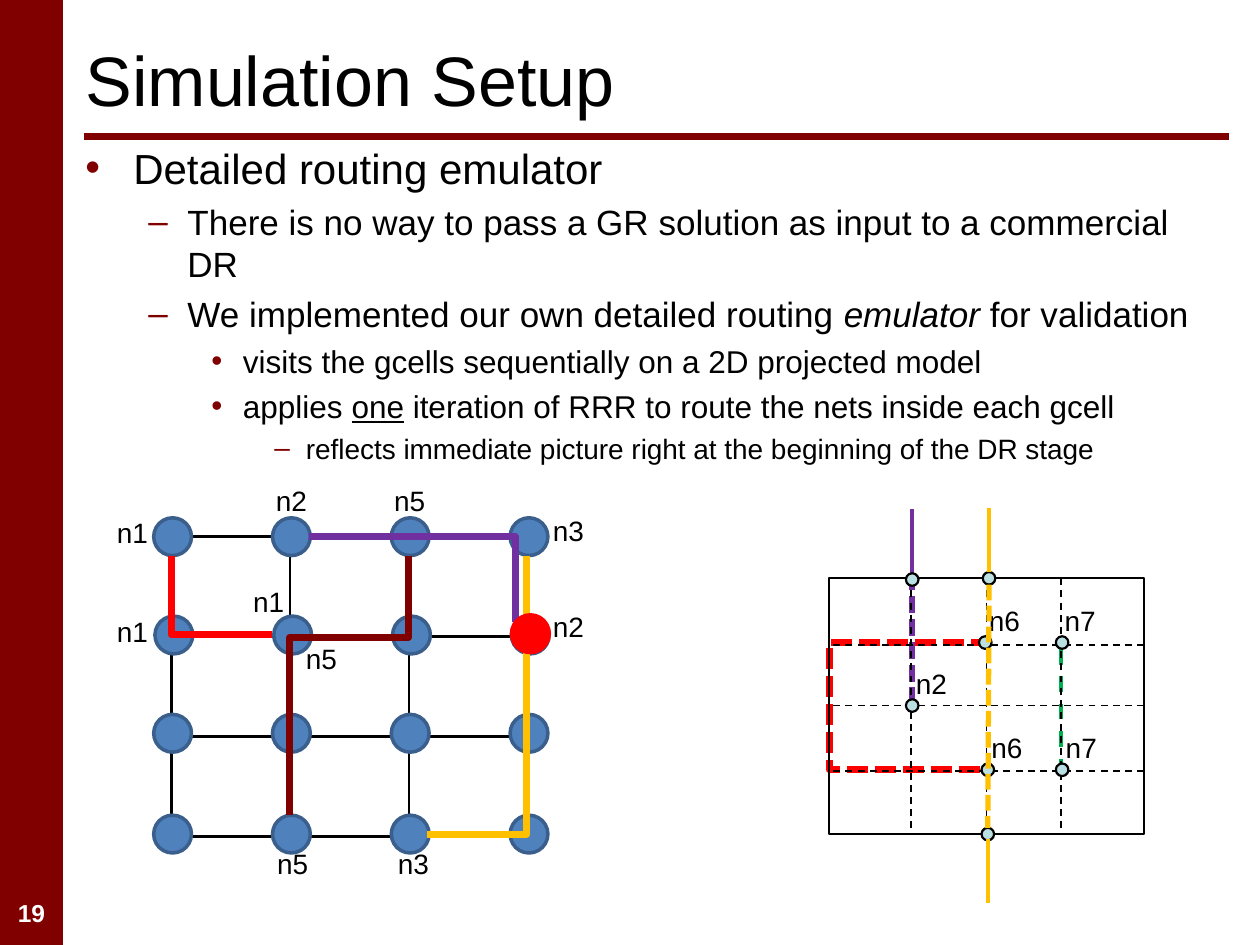
from itertools import product
from lxml.etree import SubElement
from pptx import Presentation
from pptx.dml.color import RGBColor
from pptx.enum.dml import MSO_LINE
from pptx.enum.shapes import MSO_CONNECTOR, MSO_SHAPE
from pptx.enum.text import MSO_ANCHOR, MSO_AUTO_SIZE, PP_ALIGN
from pptx.oxml.ns import qn
from pptx.util import Inches, Pt

THEME = {
    "font": "Arial", "black": "000000", "white": "FFFFFF", "maroon": "800000",
    "blue": "4F81BD", "navy": "3A5F8C", "pale": "BBE0E3", "red": "FF0000",
    "purple": "7030A0", "gold": "FFC000", "green": "00B050",
    "title": 40, "label": 16, "page": 14, "levels": [24, 20, 18, 16],
}
INDENTS = [(0.38, 0.38), (0.81, 0.31), (1.25, 0.25), (1.75, 0.25)]
TITLE = "Simulation Setup"
BODY = [
    (0, [("Detailed routing emulator", {})]),
    (1, [("There is no way to pass a GR solution as input to a commercial DR", {})]),
    (1, [("We implemented our own detailed routing ", {}),
         ("emulator", {"italic": True}), (" for validation", {})]),
    (2, [("visits the gcells sequentially on a 2D projected model", {})]),
    (2, [("applies ", {}), ("one", {"underline": True}),
         (" iteration of RRR to route the nets inside each gcell", {})]),
    (3, [("reflects immediate picture right at the beginning of the DR stage", {})]),
]
COLS = [1.36 + 0.943 * i for i in range(4)]
ROWS = [4.26 + 0.793 * i for i in range(4)]
NODES = [(4.26, 0.01), (5.04, 0.02), (5.82, 0.01), (6.62, 0.01)]
NETS = [
    ("n1", 0.83, 4.04), ("n1", 0.83, 4.83), ("n1", 1.91, 4.59),
    ("n2", 2.09, 3.79), ("n5", 2.33, 5.04), ("n2", 4.29, 4.79),
    ("n3", 4.29, 4.03), ("n3", 3.06, 6.67), ("n5", 2.1, 6.67),
    ("n5", 3.03, 3.79),
]
ROUTES = [
    ("red", [(1.36, 4.41), (1.36, 5.04), (2.16, 5.04)]),
    ("purple", [(2.45, 4.26), (4.09, 4.26), (4.09, 4.94)]),
    ("gold", [(4.18, 4.41), (4.18, 6.62), (3.39, 6.62)]),
    ("maroon", [(3.24, 4.41), (3.24, 5.06), (2.3, 5.06), (2.3, 6.47)]),
]
LOOP = [(7.87, 5.1), (6.58, 5.1), (6.58, 6.11), (7.79, 6.11)]
CELL = (6.58, 4.59, 2.5, 2.03)
TRACKS_X = [7.23, 7.83, 8.42]
TRACKS_Y = [5.12, 5.6, 6.12]
PINS = [(7.24, 5.6), (7.82, 5.1), (8.43, 6.11), (8.43, 5.1),
        (7.84, 6.11), (7.24, 4.6), (7.85, 4.59), (7.84, 6.62)]
TAGS = [("n2", 7.17, 5.24), ("n6", 7.75, 4.74), ("n7", 8.36, 5.75),
        ("n7", 8.35, 4.74), ("n6", 7.77, 5.75)]
DASH, DOT = MSO_LINE.DASH, MSO_LINE.SQUARE_DOT


def tint(name):
    return RGBColor.from_string(THEME[name])


def write(para, text, size, color="black", bold=False, italic=False,
          underline=False, align=PP_ALIGN.LEFT):
    para.alignment = align
    run = para.add_run()
    run.text = text
    font = run.font
    font.name, font.size = THEME["font"], Pt(size)
    font.bold, font.italic, font.underline = bold, italic, underline
    font.color.rgb = tint(color)


def box(x, y, w, h, wrap=True):
    frame = slide.shapes.add_textbox(*map(Inches, (x, y, w, h))).text_frame
    frame.word_wrap = wrap
    return frame


def stroke(line, color, width, dash=None):
    line.color.rgb = tint(color)
    line.width = Pt(width)
    if dash:
        line.dash_style = dash


def link(x1, y1, x2, y2, color, width, dash=None):
    wire = slide.shapes.add_connector(
        MSO_CONNECTOR.STRAIGHT, *map(Inches, (x1, y1, x2, y2)))
    stroke(wire.line, color, width, dash)
    SubElement(wire._element.spPr, qn("a:effectLst"))


def route(points, color, width, dash=None):
    start, *rest = [(Inches(x), Inches(y)) for x, y in points]
    pen = slide.shapes.build_freeform(*start)
    pen.add_line_segments(rest, close=False)
    bend = pen.convert_to_shape()
    bend.shadow.inherit = False
    bend.fill.background()
    stroke(bend.line, color, width, dash)


def solid(kind, x, y, w, h, fill=None, edge=None, width=1):
    shape = slide.shapes.add_shape(kind, *map(Inches, (x, y, w, h)))
    shape.shadow.inherit = False
    if fill:
        shape.fill.solid()
        shape.fill.fore_color.rgb = tint(fill)
    else:
        shape.fill.background()
    if edge:
        stroke(shape.line, edge, width)
    else:
        shape.line.fill.background()


def disc(x, y, size, fill, edge, width):
    solid(MSO_SHAPE.OVAL, x - size / 2, y - size / 2, size, size, fill, edge, width)


def label(text, x, y):
    frame = box(x, y, 0.45, 0.37, wrap=False)
    write(frame.paragraphs[0], text, THEME["label"])


def bullet(para, level):
    left, hang = INDENTS[level]
    size = THEME["levels"][level]
    para.level = level
    para.space_before = Pt(round(size * 0.23, 1))
    props = para._p.get_or_add_pPr()
    props.set("marL", str(Inches(left)))
    props.set("indent", str(-Inches(hang)))
    shade = SubElement(SubElement(props, qn("a:buClr")), qn("a:srgbClr"))
    shade.set("val", THEME["maroon"])
    SubElement(props, qn("a:buFont")).set("typeface", THEME["font"])
    SubElement(props, qn("a:buChar")).set("char", "•–"[level % 2])


def frame_page():
    solid(MSO_SHAPE.RECTANGLE, 0, 0, 0.5, 7.5, "maroon")
    link(0.67, 1.08, 9.75, 1.08, "maroon", 4)
    write(box(0, 7.08, 0.5, 0.33).paragraphs[0], "19", THEME["page"],
          color="white", bold=True, align=PP_ALIGN.CENTER)
    head = slide.shapes.title
    head.left, head.top, head.width, head.height = map(
        Inches, (0.58, 0.08, 9.17, 1.08))
    head.text_frame.vertical_anchor = MSO_ANCHOR.MIDDLE
    head.text_frame.auto_size = MSO_AUTO_SIZE.NONE
    write(head.text_frame.paragraphs[0], TITLE, THEME["title"])


def list_points():
    frame = box(0.58, 1.08, 9.17, 5.83)
    for i, (level, runs) in enumerate(BODY):
        para = frame.add_paragraph() if i else frame.paragraphs[0]
        bullet(para, level)
        for text, style in runs:
            write(para, text, THEME["levels"][level], **style)


def draw_grid():
    for x in COLS[1:] + COLS[:1]:
        link(x, ROWS[0], x, ROWS[-1], "black", 1.5)
    for y in ROWS:
        link(COLS[0], y, COLS[-1], y, "black", 1.5)
    for (y, shift), x in product(NODES, COLS):
        disc(x + shift, y, 0.3, "blue", "navy", 2)
    for net in NETS:
        label(*net)
    for color, points in ROUTES:
        route(points, color, 4)


def draw_cell():
    x, y, w, h = CELL
    route(LOOP, "red", 4, DOT)
    link(7.24, 4.55, 7.24, 5.55, "purple", 3.25, DOT)
    link(8.42, 5.15, 8.42, 6.06, "green", 2.25, DASH)
    link(7.24, 4.6, 7.24, 4.04, "purple", 2.25)
    solid(MSO_SHAPE.RECTANGLE, *CELL, edge="black", width=1.25)
    for track in TRACKS_X:
        link(track, y, track, y + h, "black", 1, DASH)
    for track in TRACKS_Y:
        link(x + w, track, x, track, "black", 1, DASH)
    for tag in TAGS:
        label(*tag)
    for pin in PINS:
        disc(*pin, 0.1, "pale", "black", 1.25)
    link(7.85, 4.54, 7.85, 4.03, "gold", 2.25)
    link(7.84, 7.17, 7.84, 6.66, "gold", 2.25)
    link(7.85, 4.64, 7.84, 6.57, "gold", 3, DOT)
    disc(4.21, 5.03, 0.3, "red", "red", 2)


deck = Presentation()
deck.slide_width, deck.slide_height = Inches(10), Inches(7.5)
slide = deck.slides.add_slide(deck.slide_layouts[5])
frame_page()
list_points()
draw_grid()
draw_cell()
deck.save("out.pptx")
